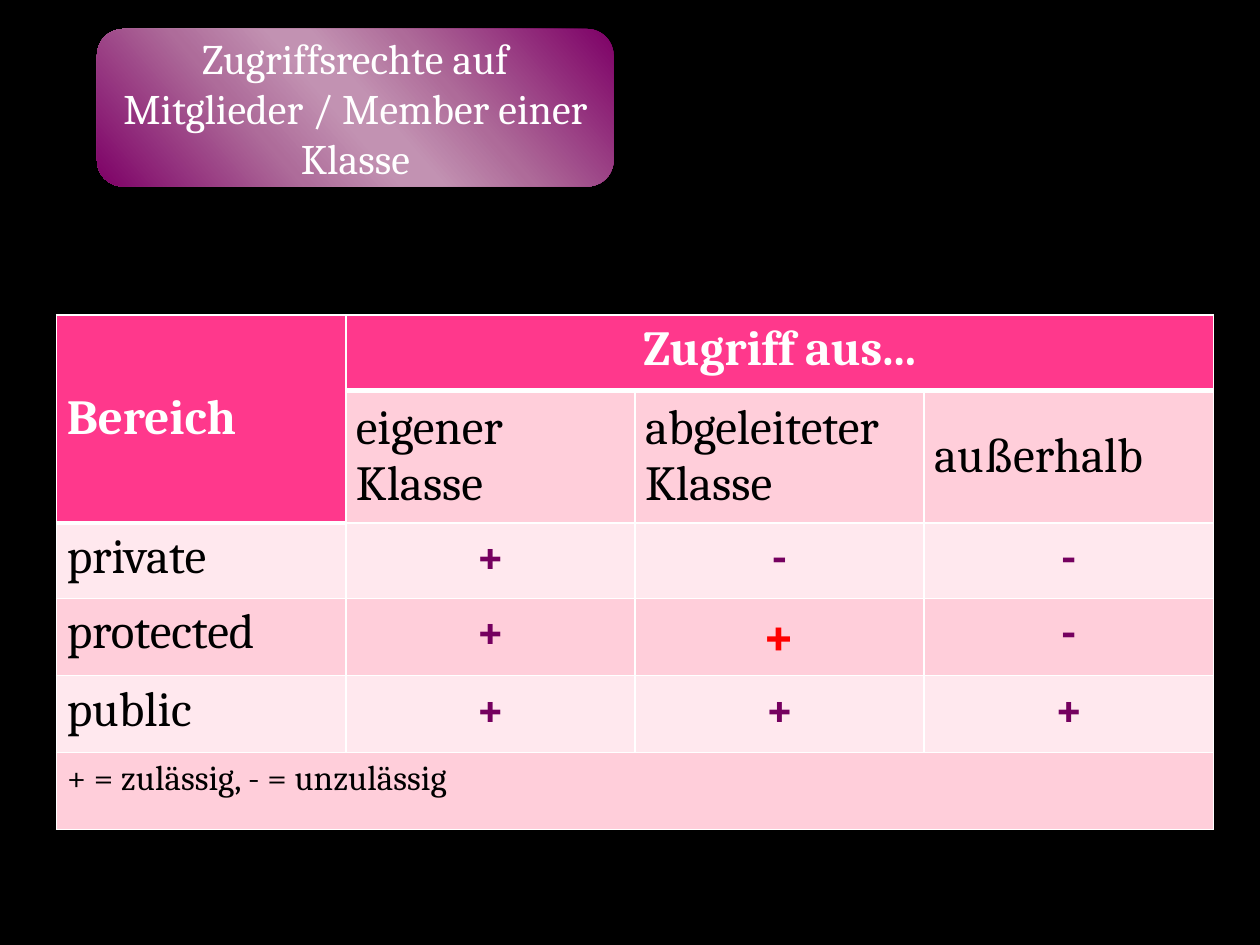
from dataclasses import dataclass
from itertools import product

from lxml.etree import SubElement
from pptx import Presentation
from pptx.dml.color import RGBColor
from pptx.enum.shapes import MSO_SHAPE
from pptx.enum.text import MSO_ANCHOR, PP_ALIGN
from pptx.oxml.ns import qn
from pptx.util import Inches, Pt

BLACK = RGBColor(0x00, 0x00, 0x00)
WHITE = RGBColor(0xFF, 0xFF, 0xFF)
RED = RGBColor(0xFF, 0x00, 0x00)
PURPLE = RGBColor(0x75, 0x00, 0x5F)
PINK = RGBColor(0xFF, 0x38, 0x8C)
PINK_MEDIUM = RGBColor(0xFF, 0xCE, 0xDA)
PINK_LIGHT = RGBColor(0xFF, 0xE8, 0xEE)

TITLE_GRADIENT = [(0, "7D0066"), (33, "AE6B99"), (47, "C292B2"),
                  (53, "C292B2"), (68, "AE6C9A"), (100, "7D0066")]
GRADIENT_ANGLE = 139
COLUMNS = 4
TABLE_WIDTH = 9.18
ROW_HEIGHTS = [0.6, 1.05, 0.6, 0.6, 0.61, 0.61]


@dataclass(frozen=True)
class Access:
    area: str
    rights: str  # own class, derived class, outside


ACCESS_ROWS = [Access("private", "+--"), Access("protected", "++-"),
               Access("public", "+++")]


def write(frame, text: str, *, size: int = 28, color: RGBColor = BLACK,
          bold: bool = False, align: PP_ALIGN = PP_ALIGN.LEFT) -> None:
    paragraph = frame.paragraphs[0]
    paragraph.alignment = align
    run = paragraph.add_run()
    run.text = text
    run.font.name = "Cambria"
    run.font.size = Pt(size)
    run.font.bold = bold
    run.font.color.rgb = color


def set_gradient(shape, stops: list, angle: int) -> None:
    shape.fill.gradient()
    gradient = shape.fill._xPr.find(qn("a:gradFill"))
    stop_list = gradient.find(qn("a:gsLst"))
    for old_stop in list(stop_list):
        stop_list.remove(old_stop)
    for position, color in stops:
        stop = SubElement(stop_list, qn("a:gs"), pos=str(position * 1000))
        SubElement(stop, qn("a:srgbClr"), val=color)
    gradient.find(qn("a:lin")).set("ang", str(angle * 60000))


def set_borders(cell, top: int, bottom: int) -> None:
    properties = cell._tc.get_or_add_tcPr()
    for side, width in (("L", 1), ("R", 1), ("T", top), ("B", bottom)):
        line = SubElement(properties, qn(f"a:ln{side}"), w=str(Pt(width)))
        fill = SubElement(line, qn("a:solidFill"))
        SubElement(fill, qn("a:srgbClr"), val=str(WHITE))


def is_header(row: int, column: int) -> bool:
    return row == 0 or (row == 1 and column == 0)


def style_cell(cell, row: int, column: int) -> None:
    header = is_header(row, column)
    below_header = row > 0 and not header and is_header(row - 1, column)
    set_borders(cell, top=3 if below_header else 1, bottom=3 if header else 1)
    cell.fill.solid()
    band = PINK_MEDIUM if row % 2 else PINK_LIGHT
    cell.fill.fore_color.rgb = PINK if header else band
    cell.margin_left = cell.margin_right = Inches(0.08)
    cell.margin_top = cell.margin_bottom = Inches(0.05)


def add_title(slide) -> None:
    title = slide.shapes.add_shape(MSO_SHAPE.ROUNDED_RECTANGLE, Inches(0.77),
                                   Inches(0.23), Inches(4.1), Inches(1.25))
    title.shadow.inherit = False
    title.line.fill.background()
    set_gradient(title, TITLE_GRADIENT, GRADIENT_ANGLE)
    title.text_frame.word_wrap = True
    title.text_frame.vertical_anchor = MSO_ANCHOR.MIDDLE
    write(title.text_frame, "Zugriffsrechte auf Mitglieder / Member einer Klasse",
          size=24, color=WHITE, align=PP_ALIGN.CENTER)


def add_access_table(slide) -> None:
    table = slide.shapes.add_table(
        len(ROW_HEIGHTS), COLUMNS, Inches(0.45), Inches(2.5),
        Inches(TABLE_WIDTH), Inches(sum(ROW_HEIGHTS))).table
    for column in table.columns:
        column.width = Inches(TABLE_WIDTH / COLUMNS)
    for row, height in zip(table.rows, ROW_HEIGHTS):
        row.height = Inches(height)
    for row, column in product(range(len(ROW_HEIGHTS)), range(COLUMNS)):
        style_cell(table.cell(row, column), row, column)

    # Headings
    area_heading = table.cell(0, 0)
    area_heading.merge(table.cell(1, 0))
    area_heading.vertical_anchor = MSO_ANCHOR.MIDDLE
    write(area_heading.text_frame, "Bereich", color=WHITE, bold=True)
    access_heading = table.cell(0, 1)
    access_heading.merge(table.cell(0, 3))
    write(access_heading.text_frame, "Zugriff aus...", color=WHITE, bold=True,
          align=PP_ALIGN.CENTER)
    origins = ["eigener Klasse", "abgeleiteter Klasse", "außerhalb"]
    for column, origin in enumerate(origins, start=1):
        origin_cell = table.cell(1, column)
        origin_cell.vertical_anchor = MSO_ANCHOR.MIDDLE
        write(origin_cell.text_frame, origin)

    # Access rights, with the derived class's protected access highlighted
    for row, access in enumerate(ACCESS_ROWS, start=2):
        write(table.cell(row, 0).text_frame, access.area)
        for column, right in enumerate(access.rights, start=1):
            highlighted = access.area == "protected" and column == 2
            write(table.cell(row, column).text_frame, right, bold=True,
                  size=32 if highlighted else 28,
                  color=RED if highlighted else PURPLE, align=PP_ALIGN.CENTER)

    # Legend
    legend = table.cell(5, 0)
    legend.merge(table.cell(5, 3))
    write(legend.text_frame, "+ = zulässig, - = unzulässig", size=20)


def main() -> None:
    presentation = Presentation()
    presentation.slide_width = Inches(10)
    presentation.slide_height = Inches(7.5)
    slide = presentation.slides.add_slide(presentation.slide_layouts[6])
    slide.background.fill.solid()
    slide.background.fill.fore_color.rgb = BLACK
    add_title(slide)
    add_access_table(slide)
    presentation.save("out.pptx")


if __name__ == "__main__":
    main()
